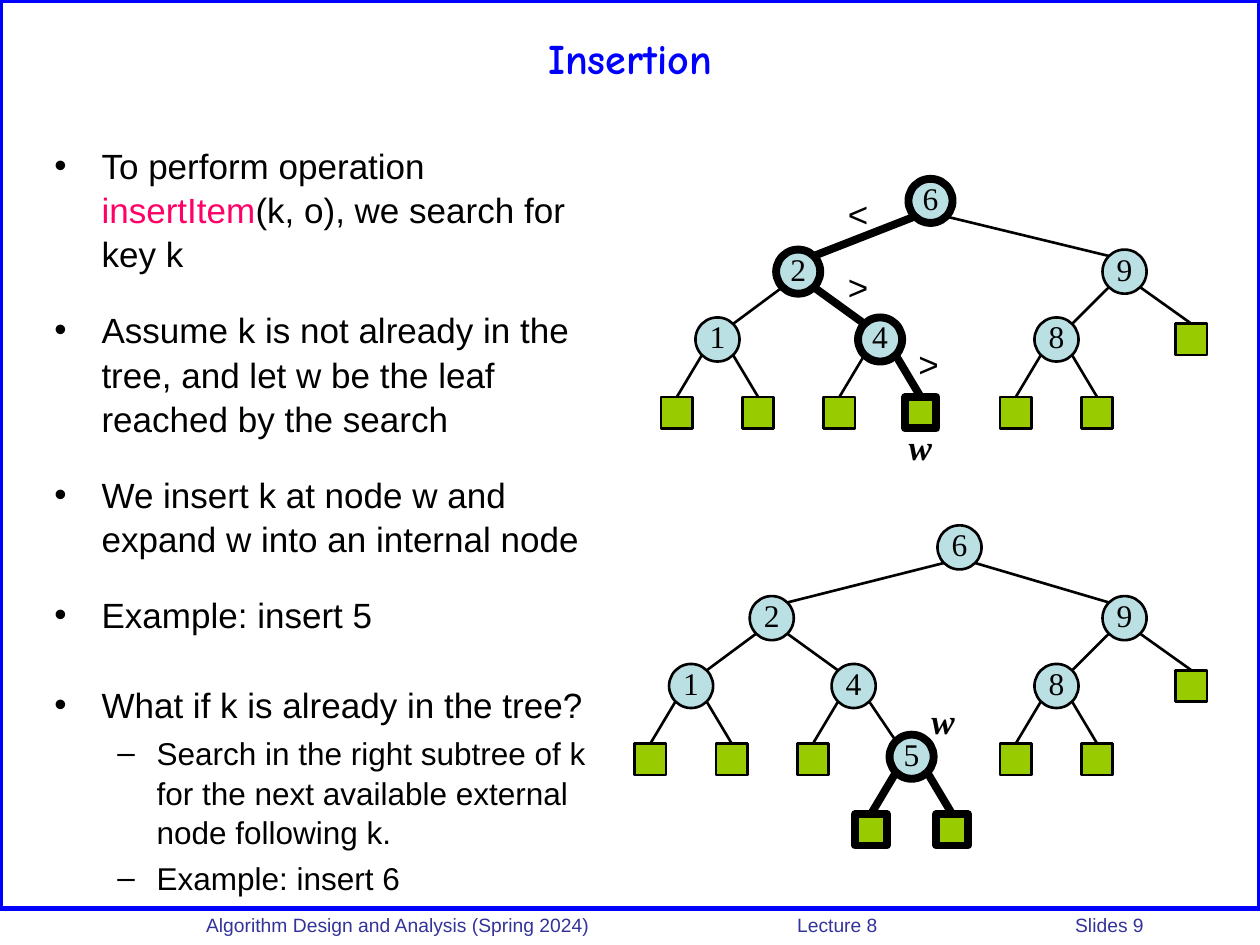
from math import sqrt

from lxml import etree
from pptx import Presentation
from pptx.dml.color import RGBColor
from pptx.enum import shapes, text
from pptx.oxml import ns
from pptx.util import Pt

# Content
TITLE = "Insertion"
# Bullets: level, space before, runs as (text, colour)
BULLETS = [
    (0, 0, [("To perform operation ", "000000"), ("insertItem", "FF0066"),
            ("(k, o), we search for key k", "000000")]),
    (0, 18.3, [("Assume k is not already in the tree, and let w be the leaf "
                "reached by the search", "000000")]),
    (0, 18.3, [("We insert k at node w and expand w into an internal node", "000000")]),
    (0, 18.3, [("Example: insert 5", "000000")]),
    (0, 26.3, [("What if k is already in the tree?", "000000")]),
    (1, 3.6, [("Search in the right subtree of k for the next available "
               "external node following k.", "000000")]),
    (1, 3.6, [("Example: insert 6", "000000")]),
]
LEVELS = [(20, 27, -27), (18, 58.5, -22.5)]  # size, margin, indent
FOOTER = ["Algorithm Design and Analysis (Spring 2024)", "Lecture 8", "Slides 9"]
FOOTER_TABS = [337.7, 496.6]

# Trees
ROWS = [114.8, 155.2, 194, 235.8]
RADIUS, LEAF, LEAF_DX, LEAF_DY = 12.6, 18, 23.2, 41.8
THIN, THICK = 1.5, 4.5
TREE_GAP = 198


def node(key, x, y, children, line=THIN):
    return {"key": key, "x": x, "y": y, "children": children, "line": line}


def leaf(x, y, line=THIN):
    return node("", x, y, [], line)


def leaf_pair(x, y, left=THIN, right=THIN):
    return [leaf(x - LEAF_DX, y + LEAF_DY, left), leaf(x + LEAF_DX, y + LEAF_DY, right)]


def right_subtree(dy):
    y = ROWS[2] + dy
    return node("9", 642.6, ROWS[1] + dy, [
        node("8", 603.7, y, leaf_pair(603.7, y)), leaf(680.8, y)])


def one(x, dy):
    return node("1", x, ROWS[2] + dy, leaf_pair(x, ROWS[2] + dy))


BEFORE = node("6", 531.7, ROWS[0], [
    node("2", 456.1, ROWS[1], [
        one(410, 0),
        node("4", 502.9, ROWS[2], leaf_pair(502.9, ROWS[2], right=THICK), THICK),
    ], THICK),
    right_subtree(0)], THICK)

AFTER = node("6", 548.3, ROWS[0] + TREE_GAP, [
    node("2", 441, ROWS[1] + TREE_GAP, [
        one(394.9, TREE_GAP),
        node("4", 487.8, ROWS[2] + TREE_GAP, [
            leaf(487.8 - LEAF_DX, ROWS[3] + TREE_GAP),
            node("5", 520.9, 432.4, leaf_pair(520.9, 432.4, THICK, THICK), THICK)]),
    ]),
    right_subtree(TREE_GAP)])

# Labels: text, left, top, width, font, bold italic
LABELS = [
    ("<", 477.4, 106.6, 25.2, "Arial", False),
    (">", 477.4, 148.3, 25.2, "Arial", False),
    (">", 517.7, 192.2, 25.2, "Arial", False),
    ("w", 511.9, 239.8, 28.1, "Times New Roman", True),
    ("w", 524.9, 396, 28.1, "Times New Roman", True),
]


def colour(value):
    return RGBColor.from_string(value)


def style(font, name, size, value, bold=False, italic=False):
    font.name, font.size, font.bold, font.italic = name, Pt(size), bold, italic
    font.color.rgb = colour(value)


def place(shape, left, top, width, height):
    shape.left, shape.top, shape.width, shape.height = map(Pt, (left, top, width, height))


def add_box(slide, kind, left, top, width, height, fill, line, width_pt):
    shape = slide.shapes.add_shape(kind, *map(Pt, (left, top, width, height)))
    shape.shadow.inherit = False
    if fill:
        shape.fill.solid()
        shape.fill.fore_color.rgb = colour(fill)
    else:
        shape.fill.background()
    shape.line.color.rgb = colour(line)
    shape.line.width = Pt(width_pt)
    return shape


def add_node(slide, item):
    if not item["key"]:
        add_box(slide, shapes.MSO_SHAPE.RECTANGLE, item["x"] - LEAF / 2, item["y"] - LEAF / 2,
                LEAF, LEAF, "99CC00", "000000", item["line"])
        return
    circle = add_box(slide, shapes.MSO_SHAPE.OVAL, item["x"] - RADIUS, item["y"] - RADIUS,
                     2 * RADIUS, 2 * RADIUS, "BBE0E3", "000000", item["line"])
    frame = circle.text_frame
    frame.margin_left = frame.margin_right = frame.margin_top = 0
    frame.margin_bottom = Pt(3.6)
    frame.word_wrap = False
    frame.vertical_anchor = text.MSO_ANCHOR.MIDDLE
    frame.text = item["key"]
    frame.paragraphs[0].alignment = text.PP_ALIGN.CENTER
    style(frame.paragraphs[0].runs[0].font, "Times New Roman", 18, "000000")


def add_edge(slide, parent, child):
    # Edges meet circles at 45 degrees and leaves at the middle of the top
    reach = RADIUS / sqrt(2)
    side = 1 if child["x"] > parent["x"] else -1
    start = parent["x"] + side * reach, parent["y"] + reach
    if child["key"]:
        end = child["x"] - side * reach, child["y"] - reach
    else:
        end = child["x"], child["y"] - LEAF / 2
    line = slide.shapes.add_connector(shapes.MSO_CONNECTOR.STRAIGHT, *map(Pt, start + end))
    line.line.color.rgb = colour("000000")
    line.line.width = Pt(min(parent["line"], child["line"]))
    etree.SubElement(line._element.spPr, ns.qn("a:effectLst"))


def add_tree(slide, item):
    for child in item["children"]:
        add_edge(slide, item, child)
        add_tree(slide, child)
    add_node(slide, item)


def add_footer(slide):
    box = slide.shapes.add_textbox(*map(Pt, (95.8, 518.4, 624.2, 18.7)))
    frame = box.text_frame
    frame.word_wrap = True
    frame.margin_left = Pt(22)
    paragraph = frame.paragraphs[0]
    paragraph.text = "\t".join(FOOTER)
    tabs = etree.SubElement(paragraph._p.get_or_add_pPr(), ns.qn("a:tabLst"))
    for position in FOOTER_TABS:
        etree.SubElement(tabs, ns.qn("a:tab"), pos=str(int(Pt(position))), algn="l")
    for run in paragraph.runs:
        style(run.font, "Arial", 11, "333399")


def fill_body(body):
    place(body, 23.8, 77.8, 324, 426.2)
    frame = body.text_frame
    frame.auto_size = text.MSO_AUTO_SIZE.NONE
    for index, (level, before, runs) in enumerate(BULLETS):
        paragraph = frame.add_paragraph() if index else frame.paragraphs[0]
        size, margin, indent = LEVELS[level]
        paragraph.level = level
        paragraph.line_spacing = 1.05
        paragraph.space_before = Pt(before)
        properties = paragraph._p.get_or_add_pPr()
        properties.set("marL", str(int(Pt(margin))))
        properties.set("indent", str(int(Pt(indent))))
        for words, value in runs:
            run = paragraph.add_run()
            run.text = words
            style(run.font, "Arial", size, value)


def main():
    presentation = Presentation()
    presentation.slide_width, presentation.slide_height = Pt(720), Pt(540)
    slide = presentation.slides.add_slide(presentation.slide_layouts[1])

    # Frame and footer
    add_box(slide, shapes.MSO_SHAPE.RECTANGLE, 0, 0, 720, 519.1, None, "0000FF", 3)
    add_footer(slide)

    # Title and bullets
    title = slide.shapes.title
    place(title, 36, 5.8, 648, 54)
    title.text_frame.text = TITLE
    title.text_frame.vertical_anchor = text.MSO_ANCHOR.MIDDLE
    style(title.text_frame.paragraphs[0].runs[0].font, "Comic Neue", 24, "0000FF", bold=True)
    fill_body(slide.placeholders[1])

    # Trees and their labels
    for tree in (BEFORE, AFTER):
        add_tree(slide, tree)
    for words, left, top, width, font, strong in LABELS:
        frame = slide.shapes.add_textbox(*map(Pt, (left, top, width, 31))).text_frame
        frame.word_wrap = False
        frame.text = words
        frame.paragraphs[0].alignment = text.PP_ALIGN.CENTER
        style(frame.paragraphs[0].runs[0].font, font, 20, "000000", strong, strong)

    presentation.save("out.pptx")


if __name__ == "__main__":
    main()
